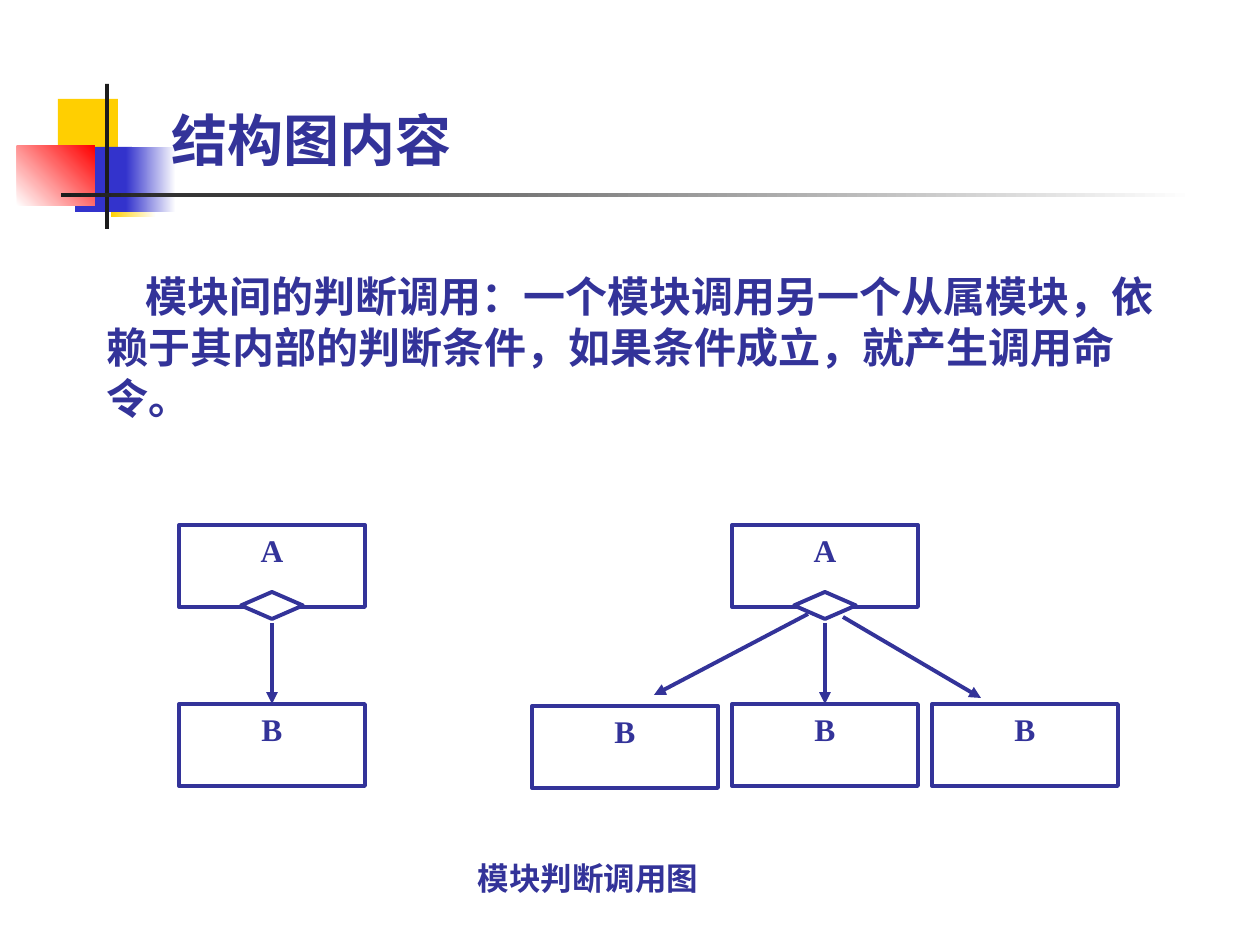
from typing import NamedTuple, Optional

from lxml import etree
from pptx import Presentation
from pptx.dml.color import RGBColor
from pptx.enum.shapes import MSO_CONNECTOR, MSO_SHAPE
from pptx.enum.text import MSO_ANCHOR, PP_ALIGN
from pptx.oxml.ns import qn
from pptx.util import Emu, Pt

RECT = MSO_SHAPE.RECTANGLE
DIAMOND = MSO_SHAPE.FLOWCHART_DECISION
STRAIGHT = MSO_CONNECTOR.STRAIGHT
TOP, BOTTOM = MSO_ANCHOR.TOP, MSO_ANCHOR.BOTTOM
LEFT, CENTER = PP_ALIGN.LEFT, PP_ALIGN.CENTER

SCALE = 914400 / 126
BOX_W, BOX_H = 186, 82
GEM_W, GEM_H = 62, 27
CALL_Y, SUB_Y = 525, 704
STROKE = 2.25
HAN, SERIF = "Noto Sans CJK SC", "Times New Roman"
COLORS = {
    "ink": "333399",
    "white": "FFFFFF",
    "gold": "FFCF01",
    "blue": "3333CC",
    "red": "FF0000",
    "dark": "1C1C1C",
}


class Block(NamedTuple):
    x: int
    y: int
    w: int
    h: int
    start: str
    stop: Optional[str] = None
    angle: int = 0


class Label(NamedTuple):
    x: int
    y: int
    w: int
    h: int
    text: str
    size: int
    font: str
    align: PP_ALIGN = LEFT
    anchor: MSO_ANCHOR = TOP
    indent: int = 0


class Arrow(NamedTuple):
    x1: int
    y1: int
    x2: int
    y2: int


DECOR = [
    Block(58, 99, 60, 65, "gold"),
    Block(111, 151, 45, 66, "gold", "white"),
    Block(75, 147, 57, 65, "blue"),
    Block(126, 147, 50, 65, "blue", "white"),
    Block(17, 146, 78, 60, "white", "red", 45),
    Block(105, 84, 4, 145, "dark"),
    Block(61, 193, 1134, 4, "dark", "white"),
]
LABELS = [
    Label(159, 21, 1074, 158, "结构图内容", 32, HAN, anchor=BOTTOM),
    Label(94, 264, 1072, 164,
          "模块间的判断调用：一个模块调用另一个从属模块，"
          "依赖于其内部的判断条件，如果条件成立，就产生调用命令。",
          24, HAN, indent=39),
    Label(331, 852, 514, 56, "模块判断调用图", 18, SERIF, CENTER),
]
CALLS = [179, 732]
SIDES = [(532, SUB_Y + 2), (932, SUB_Y)]
SLANTS = [Arrow(808, 614, 654, 695), Arrow(843, 617, 981, 698)]


def px(n: int) -> Emu:
    return Emu(round(n * SCALE))


def rgb(name: str) -> RGBColor:
    return RGBColor.from_string(COLORS[name])


def add_run(para, text: str, size: int, font: str) -> None:
    run = para.add_run()
    run.text = text
    run.font.size = Pt(size)
    run.font.bold = True
    run.font.name = font
    run.font.color.rgb = rgb("ink")
    east = etree.SubElement(run.font._element, qn("a:ea"))
    east.set("typeface", HAN)


def add_block(shapes, block: Block) -> None:
    shape = shapes.add_shape(RECT, *map(px, block[:4]))
    shape.shadow.inherit = False
    shape.line.fill.background()
    if block.stop is None:
        shape.fill.solid()
        shape.fill.fore_color.rgb = rgb(block.start)
        return
    shape.fill.gradient()
    shape.fill.gradient_angle = block.angle
    for stop, name in zip(shape.fill.gradient_stops, (block.start, block.stop)):
        stop.color.rgb = rgb(name)


def add_label(shapes, label: Label) -> None:
    frame = shapes.add_textbox(*map(px, label[:4])).text_frame
    frame.word_wrap = True
    frame.vertical_anchor = label.anchor
    para = frame.paragraphs[0]
    para.alignment = label.align
    para.line_spacing = Pt(round(label.size * 1.21))
    if label.indent:
        props = para._p.get_or_add_pPr()
        props.set("marL", "0")
        props.set("indent", str(px(label.indent)))
    add_run(para, label.text, label.size, label.font)


def add_node(shapes, kind, x: int, y: int, w: int, h: int, text: str = ""):
    node = shapes.add_shape(kind, *map(px, (x, y, w, h)))
    node.shadow.inherit = False
    node.fill.solid()
    node.fill.fore_color.rgb = rgb("white")
    node.line.color.rgb = rgb("ink")
    node.line.width = Pt(STROKE)
    if text:
        node.text_frame.vertical_anchor = TOP
        para = node.text_frame.paragraphs[0]
        para.alignment = CENTER
        add_run(para, text, 18, SERIF)
    return node


def add_arrow(shapes, arrow: Arrow, target=None) -> None:
    line = shapes.add_connector(STRAIGHT, *map(px, arrow))
    line.line.color.rgb = rgb("ink")
    line.line.width = Pt(STROKE)
    tail = etree.SubElement(line.line._get_or_add_ln(), qn("a:tailEnd"))
    tail.set("type", "triangle")
    etree.SubElement(line._element.spPr, qn("a:effectLst"))
    if target is not None:
        line.end_connect(target, 0)


def add_call(shapes, x: int) -> None:
    """Draw module A with its decision mark, calling module B below."""
    mid = x + BOX_W // 2
    add_node(shapes, RECT, x, CALL_Y, BOX_W, BOX_H, "A")
    add_node(shapes, DIAMOND, mid - GEM_W // 2, 592, GEM_W, GEM_H)
    sub = add_node(shapes, RECT, x, SUB_Y, BOX_W, BOX_H, "B")
    add_arrow(shapes, Arrow(mid, 623, mid, SUB_Y), sub)


def main() -> None:
    deck = Presentation()
    deck.slide_width, deck.slide_height = px(1260), px(945)
    shapes = deck.slides.add_slide(deck.slide_layouts[6]).shapes

    # Corner squares and title rule
    for block in DECOR:
        add_block(shapes, block)

    # Title, explanation and caption
    for label in LABELS:
        add_label(shapes, label)

    # Single call on the left, three-way call on the right
    for x in CALLS:
        add_call(shapes, x)
    for x, y in SIDES:
        add_node(shapes, RECT, x, y, BOX_W, BOX_H, "B")
    for arrow in SLANTS:
        add_arrow(shapes, arrow)

    deck.save("out.pptx")


if __name__ == "__main__":
    main()
